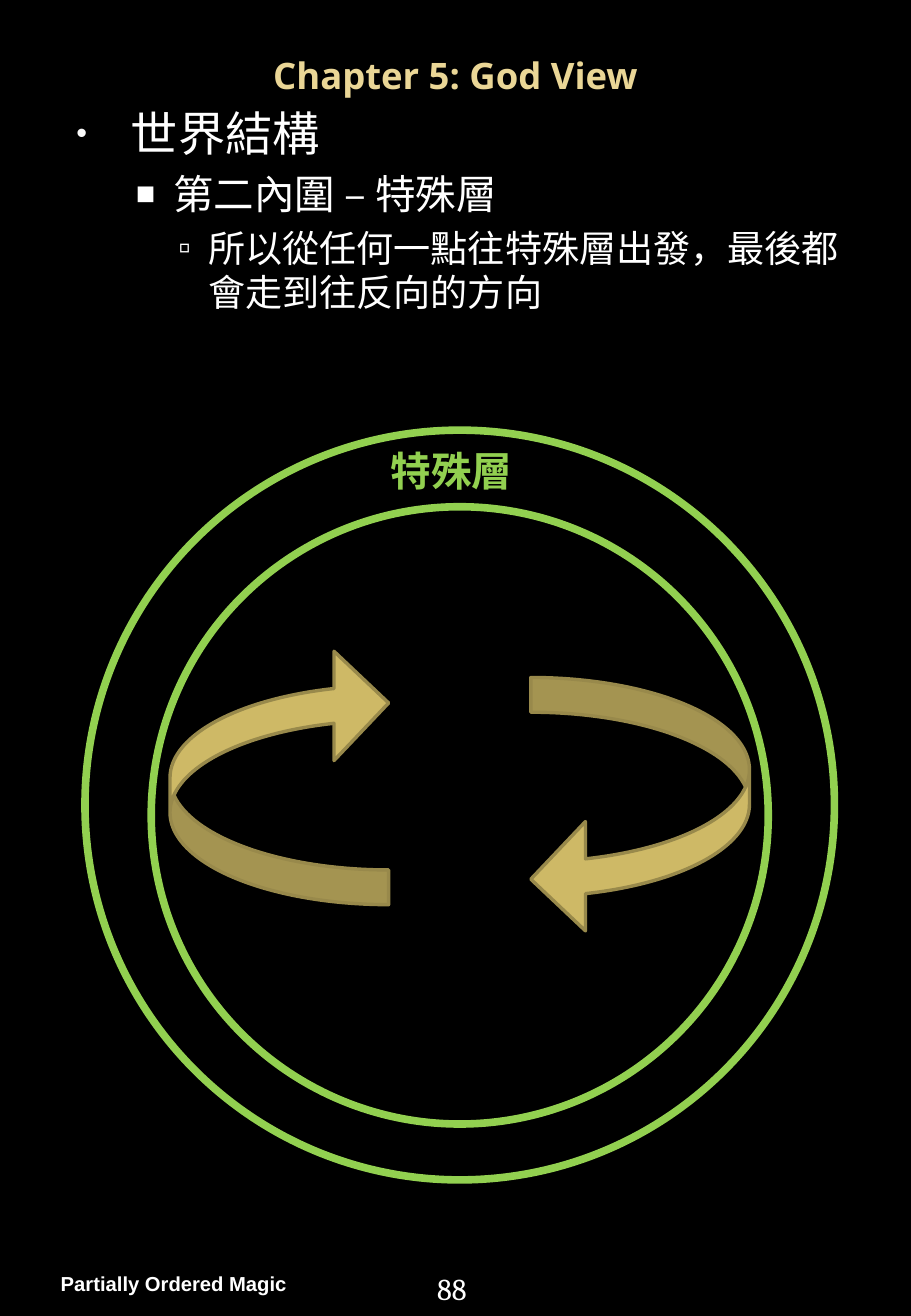
from lxml.etree import SubElement
from pptx import Presentation
from pptx.dml.color import RGBColor
from pptx.enum.shapes import MSO_SHAPE
from pptx.enum.text import MSO_ANCHOR, PP_ALIGN
from pptx.oxml.ns import qn
from pptx.util import Inches, Pt

WIDTH, HEIGHT = 7.5, 10.83
MARGIN = 0.38
COLORS = {
    "background": "000000",
    "text": "FFFFFF",
    "title": "EAD696",
    "bullet": "F9F9F9",
    "ring": "92D050",
    "arrow": "CEB966",
    "arrow_edge": "98894B",
}
OUTLINE = [
    ("世界結構", 28, 0.6, -0.45, "•", 65, "bullet"),
    ("第二內圍 – 特殊層", 24, 0.95, -0.31, "■", 80, "text"),
    ("所以從任何一點往特殊層出發，最後都會走到往反向的方向", 22, 1.24, -0.25, "▫", 95, "text"),
]


def color(name):
    return RGBColor.from_string(COLORS[name])


def style(para, size, font, name, bold=False):
    for span in para.runs:
        span.font.size = Pt(size)
        span.font.name = font
        span.font.bold = bold
        span.font.color.rgb = color(name)


def add_text(page, box, text, size, font, name, bold=False):
    shape = page.shapes.add_textbox(*map(Inches, box))
    frame = shape.text_frame
    frame.word_wrap = True
    frame.text = text
    style(frame.paragraphs[0], size, font, name, bold)
    return frame


def add_bullet(para, level, left, indent, mark, percent, name):
    para.level = level
    properties = para._p.get_or_add_pPr()
    properties.set("marL", str(Inches(left)))
    properties.set("indent", str(Inches(indent)))
    tint = SubElement(properties, qn("a:buClr"))
    SubElement(tint, qn("a:srgbClr"), val=COLORS[name])
    SubElement(properties, qn("a:buSzPct"), val=str(percent * 1000))
    SubElement(properties, qn("a:buFont"), typeface="Arial")
    SubElement(properties, qn("a:buChar"), char=mark)


def add_title(page, box):
    frame = add_text(page, box, "Chapter 5: God View", 21.6, "Noto Sans", "title", True)
    frame.vertical_anchor = MSO_ANCHOR.MIDDLE
    frame.paragraphs[0].alignment = PP_ALIGN.CENTER


def add_outline(page, box):
    frame = add_text(page, box, "\n".join(item[0] for item in OUTLINE), 28, "Arial", "text")
    for level, (para, item) in enumerate(zip(frame.paragraphs, OUTLINE)):
        size = item[1]
        add_bullet(para, level, *item[2:])
        style(para, size, "Arial", "text")
        if level:
            para.space_before = Pt(size * 0.2)


def add_figure(page, kind, box, edge, weight):
    shape = page.shapes.add_shape(kind, *map(Inches, box))
    shape.shadow.inherit = False
    shape.fill.background()
    shape.line.color.rgb = color(edge)
    shape.line.width = Pt(weight)
    return shape


def add_world(page, box):
    left, top, size = box
    inner = 5.08
    inner_left = left + (size - inner) / 2
    for ring in ((left, top, size, size), (inner_left, top + 0.63, inner, inner)):
        add_figure(page, MSO_SHAPE.OVAL, ring, "ring", 4.5)
    add_text(page, (left + 2.42, top + 0.08, 1.33, 0.5), "特殊層", 24, "Arial", "ring", True)

    length, depth = 2.11, 1.8
    right_arrow = inner_left + inner - length
    for arrow_left, drop, turn in ((inner_left, 1.95, 270), (right_arrow, 2.19, 90)):
        place = (arrow_left, top + drop, length, depth)
        arrow = add_figure(page, MSO_SHAPE.CURVED_DOWN_ARROW, place, "arrow_edge", 2)
        arrow.fill.solid()
        arrow.fill.fore_color.rgb = color("arrow")
        arrow.rotation = turn
        for index, share in enumerate((0.159, 0.5, 0.25)):
            arrow.adjustments[index] = share


def add_footer(page, box):
    left, top, width, height = box
    frame = add_text(page, (left, top, 2.58, height), "Partially Ordered Magic", 12, "Arial", "text", True)
    frame.margin_left = frame.margin_right = Inches(0.12)
    frame.margin_top = frame.margin_bottom = Inches(0.06)
    number_width = 1.02
    number_left = left + (width - number_width) / 2 + 0.26
    add_text(page, (number_left, top, number_width, height), "88", 18, "Cambria", "text")


def main():
    deck = Presentation()
    deck.slide_width, deck.slide_height = Inches(WIDTH), Inches(HEIGHT)
    page = deck.slides.add_slide(deck.slide_layouts[6])
    page.background.fill.solid()
    page.background.fill.fore_color.rgb = color("background")
    content = WIDTH - 2 * MARGIN
    add_title(page, (MARGIN, 0.43, content, 0.37))
    add_outline(page, (MARGIN, 0.81, content, 9.16))
    add_world(page, (0.7, 3.54, 6.17))
    add_footer(page, (MARGIN, 10.4, content, 0.36))
    deck.save("out.pptx")


if __name__ == "__main__":
    main()
